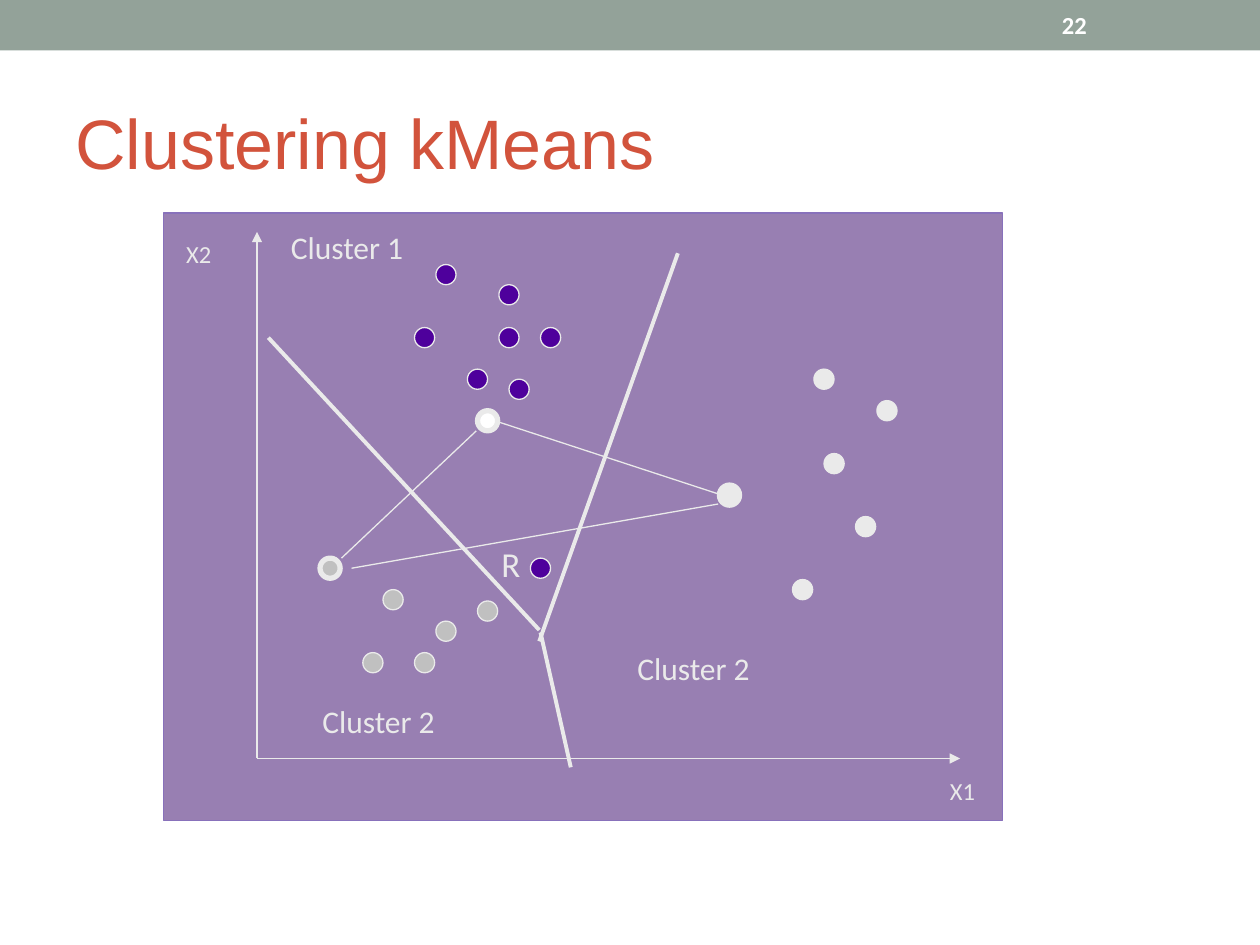
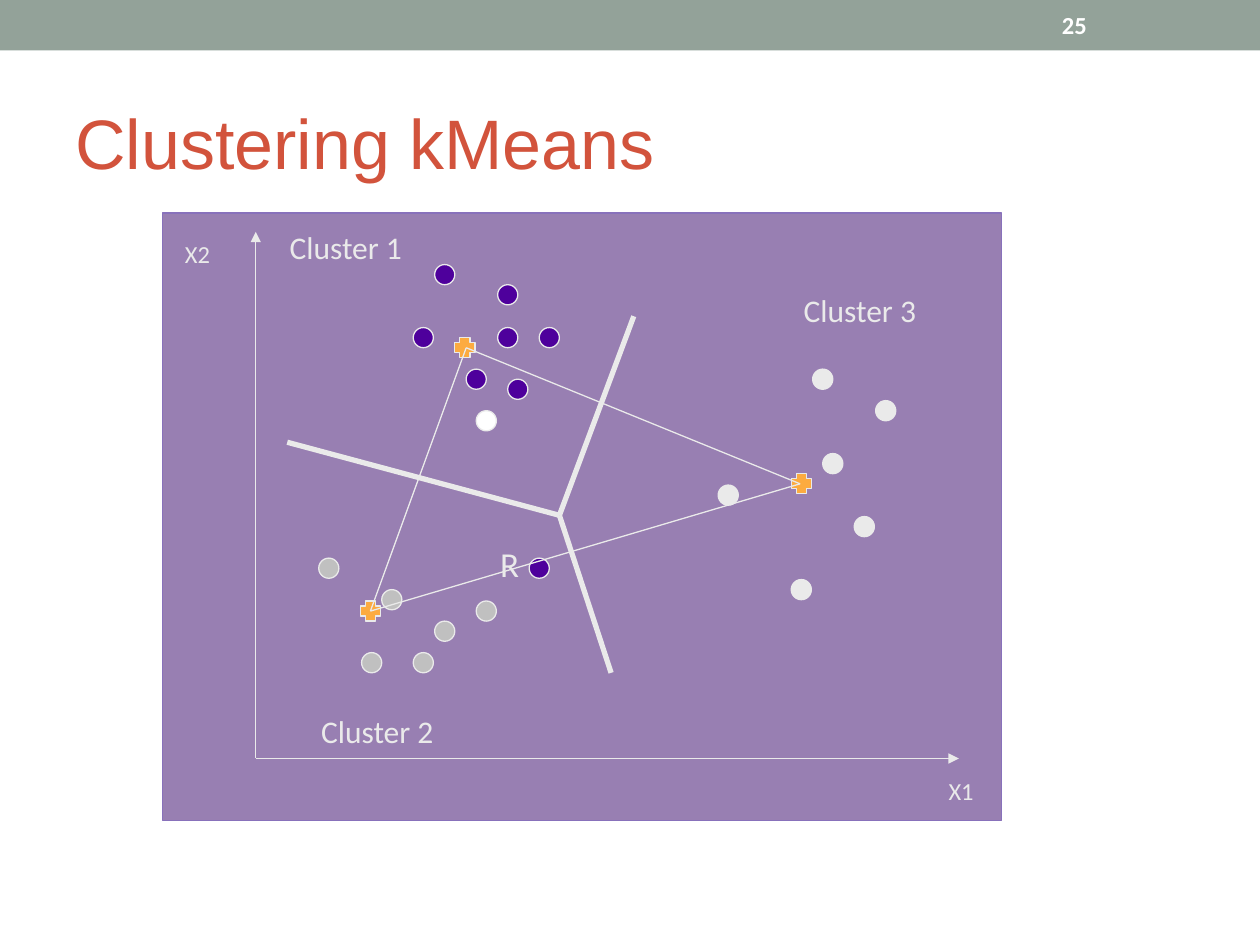
"""Build two slides that show k-means clustering before and after the centroids move."""
from dataclasses import dataclass

from lxml import etree
from pptx import Presentation
from pptx import util as u
from pptx.dml.color import RGBColor
from pptx.enum import shapes, text
from pptx.oxml.ns import qn


@dataclass(frozen=True)
class Theme:
    band: str = "93A299"
    title: str = "D2533C"
    number: str = "FFFFFF"
    panel: str = "330066"
    panel_edge: str = "8871BB"
    light: str = "EAEAEA"
    violet: str = "4E009C"
    grey: str = "C0C0C0"
    white: str = "FFFFFF"
    centroid: str = "FCAB40"
    heading_font: str = "Arial"
    body_font: str = "Calibri"
    title_size: int = 40
    point_size: int = 20
    cluster_size: int = 18
    small_size: int = 14
    thin: float = 0.75


THEME = Theme()
DOT = 0.16
CLUSTERS = [
    (THEME.violet, [(3.46, 2.1), (3.29, 2.6), (3.96, 2.26), (3.96, 2.6),
                    (3.71, 2.93), (4.04, 3.01), (4.29, 2.6)]),
    (THEME.grey, [(3.04, 4.68), (2.88, 5.18), (3.29, 5.18), (3.46, 4.93), (3.79, 4.77)]),
    (THEME.light, [(6.46, 2.93), (6.96, 3.18), (6.54, 3.6), (6.79, 4.1), (6.29, 4.6)]),
]
SEEDS = [(THEME.light, 5.71, 3.85), (THEME.white, 3.79, 3.26), (THEME.grey, 2.54, 4.43)]


class Deck:
    def __init__(self, theme):
        self.theme = theme
        self.prs = Presentation()
        self.prs.slide_width, self.prs.slide_height = u.Inches(10), u.Inches(7.5)
        self.s = None
        self.shift = 0

    def new_slide(self, title, number, shift=0):
        t = self.theme
        self.s = self.prs.slides.add_slide(self.prs.slide_layouts[6])
        self.shift = 0
        self.shape(shapes.MSO_SHAPE.RECTANGLE, 0, 0, 10, 0.4, t.band)
        for words, box, size, color, font in (
            (title, (0.5, 0.58, 9, 1.08), t.title_size, t.title, t.heading_font),
            (number, (8.33, 0.02, 1.17, 0.36), t.small_size, t.number, t.body_font),
        ):
            tf = self.text(words, *box, size, color, font, bold=words == number)
            tf.word_wrap = True
            tf.vertical_anchor = text.MSO_ANCHOR.MIDDLE
        self.shift = shift

    def shape(self, kind, x, y, w, h, fill, line=None, width=THEME.thin):
        sp = self.s.shapes.add_shape(
            kind, u.Inches(x + self.shift), u.Inches(y), u.Inches(w), u.Inches(h))
        sp.shadow.inherit = False
        sp.fill.solid()
        sp.fill.fore_color.rgb = RGBColor.from_string(fill)
        if line:
            sp.line.color.rgb = RGBColor.from_string(line)
            sp.line.width = u.Pt(width)
        else:
            sp.line.fill.background()
        return sp

    def dot(self, x, y, fill, width=THEME.thin):
        self.shape(shapes.MSO_SHAPE.OVAL, x, y, DOT, DOT, fill, self.theme.light, width)

    def centroid(self, x, y):
        t = self.theme
        sp = self.shape(shapes.MSO_SHAPE.CROSS, x, y, DOT, DOT, t.centroid, t.light)
        sp.adjustments[0] = 0.25

    def line(self, start, end, width=THEME.thin, arrow=False):
        (x1, y1), (x2, y2) = start, end
        cx = self.s.shapes.add_connector(
            shapes.MSO_CONNECTOR.STRAIGHT, u.Inches(x1 + self.shift), u.Inches(y1),
            u.Inches(x2 + self.shift), u.Inches(y2))
        cx.line.color.rgb = RGBColor.from_string(self.theme.light)
        cx.line.width = u.Pt(width)
        if arrow:
            etree.SubElement(cx.line._get_or_add_ln(), qn("a:tailEnd"), type="triangle")
        etree.SubElement(cx._element.spPr, qn("a:effectLst"))

    def text(self, words, x, y, w, h, size, color, font, bold=False):
        box = self.s.shapes.add_textbox(
            u.Inches(x + self.shift), u.Inches(y), u.Inches(w), u.Inches(h))
        tf = box.text_frame
        tf.text = words
        p = tf.paragraphs[0]
        p.font.size, p.font.name, p.font.bold = u.Pt(size), font, bold
        p.font.color.rgb = RGBColor.from_string(color)
        return tf

    def label(self, words, x, y, w, h, size):
        tf = self.text(words, x, y, w, h, size, self.theme.light, self.theme.body_font)
        tf.word_wrap = False
        tf.auto_size = text.MSO_AUTO_SIZE.SHAPE_TO_FIT_TEXT

    def cluster_label(self, words, x, y):
        self.label(words, x, y, 1.1, 0.4, self.theme.cluster_size)

    def plot(self, seed_width):
        t = self.theme
        panel = self.shape(
            shapes.MSO_SHAPE.RECTANGLE, 1.3, 1.69, 6.66, 4.82, t.panel, t.panel_edge)
        color = panel._element.spPr.find(qn("a:solidFill"))[0]
        etree.SubElement(color, qn("a:alpha"), val="50000")
        for end in ((2.04, 1.84), (7.62, 6.02)):
            self.line((2.04, 6.02), end, arrow=True)
        for fill, points in CLUSTERS:
            for x, y in points:
                self.dot(x, y, fill)
        for fill, x, y in SEEDS:
            self.dot(x, y, fill, seed_width)
        self.label("X1", 7.44, 6.11, 0.4, 0.34, t.small_size)
        self.label("X2", 1.38, 1.85, 0.4, 0.34, t.small_size)
        self.dot(4.21, 4.43, t.violet)

    def partition(self, links, borders, border_width, names):
        for start, end in links:
            self.line(start, end)
        for start, end in borders:
            self.line(start, end, border_width)
        self.label("R", 3.88, 4.26, 0.35, 0.44, self.theme.point_size)
        for name, x, y in names:
            self.cluster_label(name, x, y)


def main():
    deck = Deck(THEME)
    title = "Clustering kMeans"

    deck.new_slide(title, "22")
    deck.plot(seed_width=3)
    deck.partition(
        links=[((2.71, 4.43), (3.78, 3.42)), ((3.96, 3.35), (5.7, 3.92)),
               ((2.79, 4.51), (5.7, 4))],
        borders=[((2.13, 2.68), (4.28, 5)), ((5.38, 2.01), (4.28, 5.09)),
                 ((4.29, 5.02), (4.53, 6.09))],
        border_width=2.25,
        names=[("Cluster 1", 2.21, 1.76), ("Cluster 2", 2.46, 5.52),
               ("Cluster 2", 4.96, 5.1)])

    deck.new_slide(title, "25", shift=-0.01)
    deck.plot(seed_width=THEME.thin)
    for x, y in ((3.62, 2.68), (2.87, 4.77), (6.29, 3.76)):
        deck.centroid(x, y)
    top, left, right = (3.71, 2.76), (2.95, 4.85), (6.36, 3.84)
    meeting = (4.45, 4.09)
    deck.partition(
        links=[(top, left), (top, right), (left, right)],
        borders=[((2.29, 3.51), meeting), ((5.04, 2.51), meeting), (meeting, (4.86, 5.34))],
        border_width=3,
        names=[("Cluster 1", 2.21, 1.76), ("Cluster 2", 2.46, 5.6),
               ("Cluster 3", 6.29, 2.26)])

    deck.prs.save("out.pptx")


if __name__ == "__main__":
    main()
